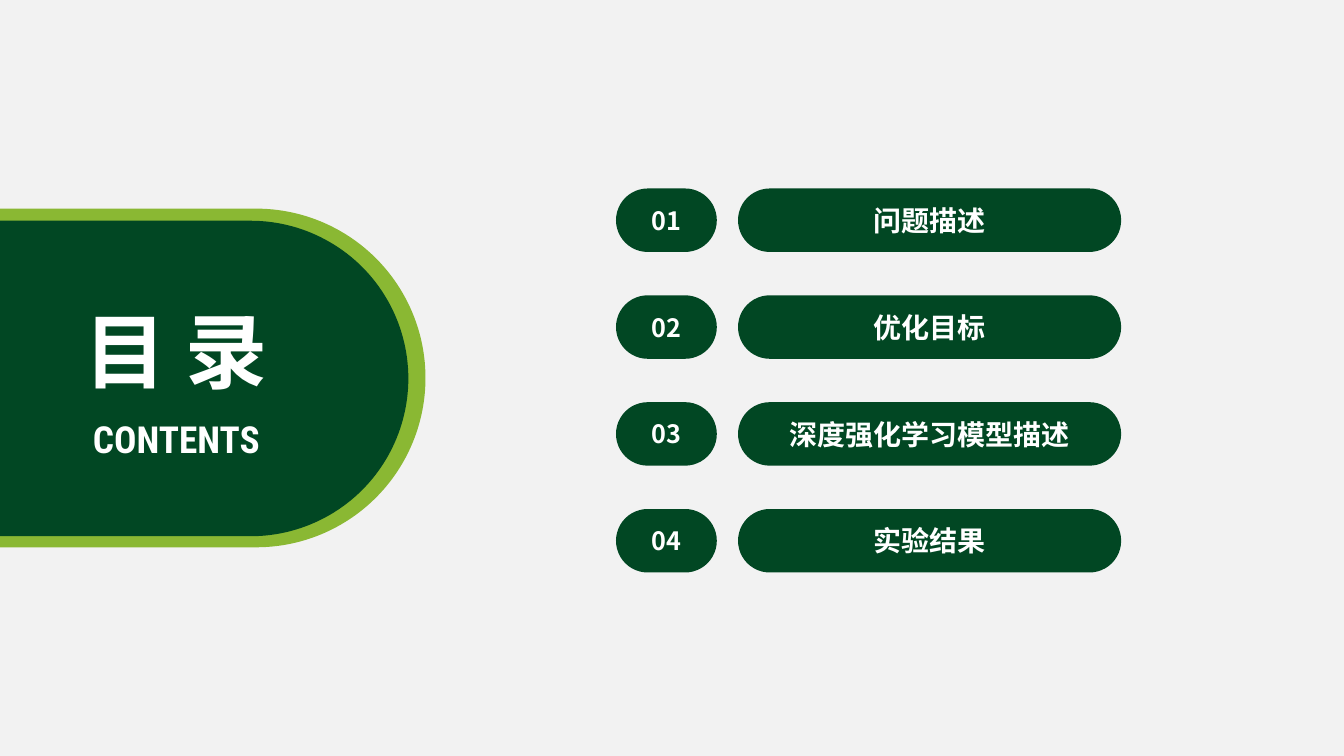
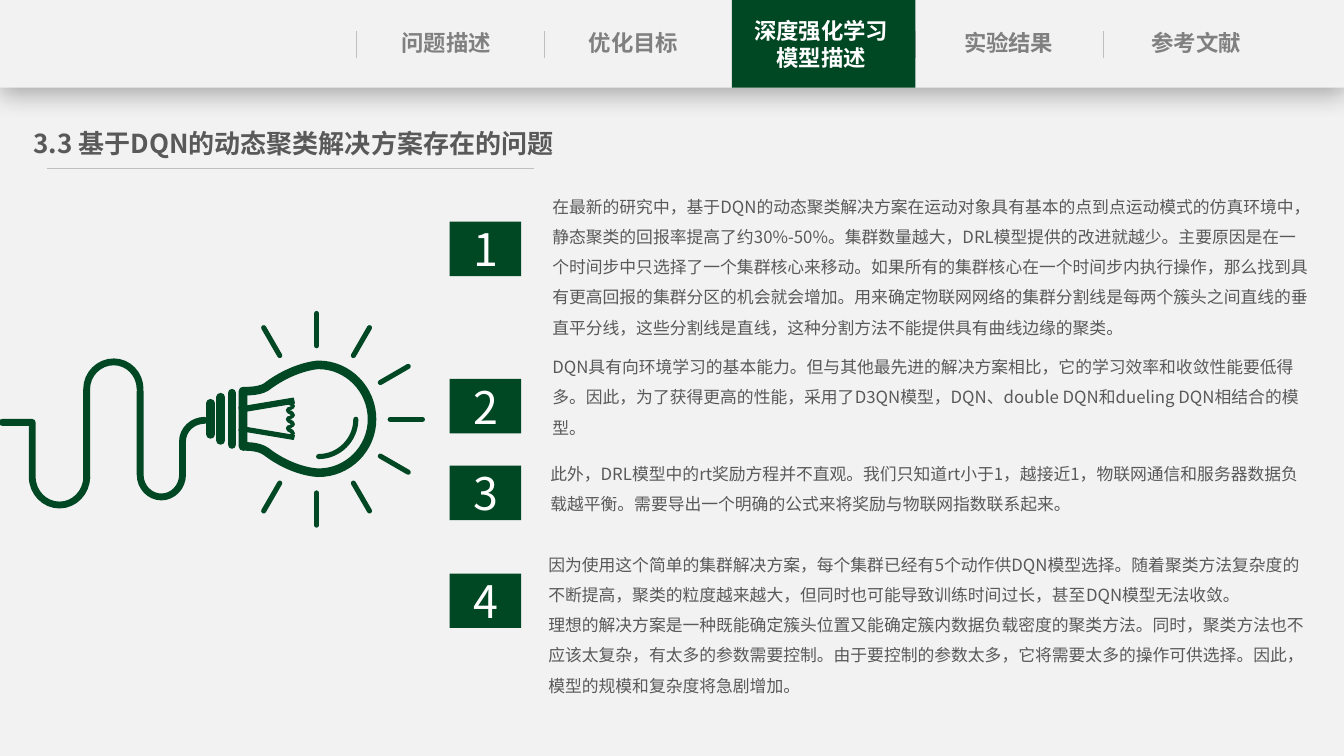
import math

import lxml.etree
import pptx
import pptx.dml.color
import pptx.enum.shapes
import pptx.enum.text
import pptx.oxml.ns
import pptx.util

Inches = pptx.util.Inches
Pt = pptx.util.Pt
RGBColor = pptx.dml.color.RGBColor
Shape = pptx.enum.shapes.MSO_SHAPE
Anchor = pptx.enum.text.MSO_ANCHOR
Align = pptx.enum.text.PP_ALIGN
qn = pptx.oxml.ns.qn

PAPER = RGBColor(0xF2, 0xF2, 0xF2)
WHITE = RGBColor(0xFF, 0xFF, 0xFF)
BLACK = RGBColor(0x00, 0x00, 0x00)
GREEN = RGBColor(0x01, 0x47, 0x23)
DEEP_GREEN = RGBColor(0x00, 0x47, 0x23)
LIME = RGBColor(0x8A, 0xB8, 0x33)
RULE_GREY = RGBColor(0xBF, 0xBF, 0xBF)
TAB_GREY = RGBColor(0x80, 0x80, 0x80)
TEXT_GREY = RGBColor(0x59, 0x59, 0x59)
SANS = "Noto Sans CJK SC"
CONDENSED = "Roboto Condensed"

CHAPTERS = ["问题描述", "优化目标", "深度强化学习模型描述", "实验结果"]
TABS = CHAPTERS + ["参考文献"]
ACTIVE_TAB = 2
TAB_DIVIDERS = (3.53, 5.4, 9.08, 10.94)

PROBLEM_TITLE = "3.3 基于DQN的动态聚类解决方案存在的问题"
PROBLEMS = [
    {"text_at": (5.38, 1.8, 7.7, 1.61), "badge_top": 2.2, "paragraphs": [
        "在最新的研究中，基于DQN的动态聚类解决方案在运动对象具有基本的点到点运动模式的仿真环境中，"
        "静态聚类的回报率提高了约30%-50%。集群数量越大，DRL模型提供的改进就越少。"
        "主要原因是在一个时间步中只选择了一个集群核心来移动。"
        "如果所有的集群核心在一个时间步内执行操作，那么找到具有更高回报的集群分区的机会就会增加。"
        "用来确定物联网网络的集群分割线是每两个簇头之间直线的垂直平分线，"
        "这些分割线是直线，这种分割方法不能提供具有曲线边缘的聚类。"]},
    {"text_at": (5.38, 3.39, 7.7, 1.01), "badge_top": 3.76, "paragraphs": [
        "DQN具有向环境学习的基本能力。但与其他最先进的解决方案相比，它的学习效率和收敛性能要低得多。"
        "因此，为了获得更高的性能，采用了D3QN模型，DQN、double DQN和dueling DQN相结合的模型。"]},
    {"text_at": (5.36, 4.45, 7.74, 0.71), "badge_top": 4.62, "paragraphs": [
        "此外，DRL模型中的rt奖励方程并不直观。我们只知道rt小于1，越接近1，"
        "物联网通信和服务器数据负载越平衡。需要导出一个明确的公式来将奖励与物联网指数联系起来。"]},
    {"text_at": (5.34, 5.35, 7.74, 1.61), "badge_top": 5.69, "paragraphs": [
        "因为使用这个简单的集群解决方案，每个集群已经有5个动作供DQN模型选择。"
        "随着聚类方法复杂度的不断提高，聚类的粒度越来越大，"
        "但同时也可能导致训练时间过长，甚至DQN模型无法收敛。",
        "理想的解决方案是一种既能确定簇头位置又能确定簇内数据负载密度的聚类方法。"
        "同时，聚类方法也不应该太复杂，有太多的参数需要控制。"
        "由于要控制的参数太多，它将需要太多的操作可供选择。因此，模型的规模和复杂度将急剧增加。"]},
]

CORDS = [
    [(1.81, 4.71), (1.81, 4.93, 1.6, 4.93), (1.39, 4.93, 1.39, 4.71), (1.39, 3.88)],
    [(0.86, 4.73), (0.86, 5.01, 0.59, 5.01), (0.32, 5.01, 0.32, 4.73),
     (0.32, 4.19), (0.02, 4.19)],
    [(0.86, 4.75), (0.86, 3.86), (0.86, 3.59, 1.13, 3.59), (1.39, 3.59, 1.39, 3.86)],
    [(1.81, 4.71), (1.81, 4.38), (1.81, 4.17, 2.03, 4.17)],
]
GLASS = [(3.16, 3.62), (3.69, 3.62, 3.69, 4.16), (3.69, 4.69, 3.16, 4.69),
         (3.14, 4.69, 2.9, 4.68, 2.64, 4.48), (2.56, 4.42, 2.41, 4.43, 2.41, 4.43),
         (2.41, 3.88), (2.41, 3.88, 2.56, 3.89, 2.64, 3.84),
         (2.9, 3.64, 3.14, 3.62, 3.16, 3.62)]
GLINT = [(3.16, 4.53), (3.53, 4.53, 3.53, 4.16)]
PRONGS = [[(2.37, 4.27), (2.38, 4.23), (2.92, 4.32), (2.91, 4.36)],
          [(2.37, 4.04), (2.91, 3.95), (2.92, 4), (2.38, 4.09)]]
THREADS = [(2.3, 3.9, 4.41), (2.19, 3.94, 4.37), (2.09, 4, 4.31)]
RAY_CENTER = (3.14, 4.16)
RAY_RADII = (0.73, 1.05)


def inches(values):
    return [Inches(value) for value in values]


def style_text(shape, paragraphs, size, color, bold=False, font=SANS,
               align=Align.CENTER, anchor=Anchor.MIDDLE, spacing=None, wrap=True, side=0.1):
    frame = shape.text_frame
    frame.text = "\n".join(paragraphs)
    frame.word_wrap = wrap
    frame.auto_size = pptx.enum.text.MSO_AUTO_SIZE.NONE
    frame.vertical_anchor = anchor
    frame.margin_left = frame.margin_right = Inches(side)
    for para in frame.paragraphs:
        para.alignment = align
        if spacing:
            para.line_spacing = spacing
        for span in para.runs:
            span.font.size = Pt(size)
            span.font.bold = bold
            span.font.color.rgb = color
            span.font.name = font
            properties = span._r.get_or_add_rPr()
            lxml.etree.SubElement(properties, qn("a:ea"), typeface=font)


def add_block(page, at, color, kind=Shape.RECTANGLE):
    block = page.shapes.add_shape(kind, *inches(at))
    block.shadow.inherit = False
    block.fill.solid()
    block.fill.fore_color.rgb = color
    block.line.fill.background()
    if kind == Shape.ROUNDED_RECTANGLE:
        block.adjustments[0] = 0.5
    return block


def add_text(page, at, paragraphs, size, color, **style):
    box = page.shapes.add_textbox(*inches(at))
    style_text(box, paragraphs, size, color, **style)


def place_title(page, at, text, size, color, **style):
    title = page.shapes.title
    title.left, title.top, title.width, title.height = inches(at)
    style_text(title, [text], size, color, bold=True, **style)
    page.shapes._spTree.append(title._element)


def style_line(shape, color, width, rounded):
    shape.line.color.rgb = color
    shape.line.width = Pt(width)
    if rounded:
        shape._element.spPr.get_or_add_ln().set("cap", "rnd")


def add_line(page, start, end, color, width, rounded=False):
    line = page.shapes.add_connector(pptx.enum.shapes.MSO_CONNECTOR.STRAIGHT,
                                     *inches((*start, *end)))
    style_line(line, color, width, rounded)
    lxml.etree.SubElement(line._element.spPr, qn("a:effectLst"))


def segment_points(start, step):
    if len(step) == 4:
        corner, end = step[:2], step[2:]
        handles = [tuple(p + 0.55 * (c - p) for p, c in zip(point, corner))
                   for point in (start, end)]
        return [*handles, end]
    return [step[index:index + 2] for index in range(0, len(step), 2)]


def add_outline(page, steps, width, closed=False, filled=False):
    segments = [segment_points(before[-2:], step) for before, step in zip(steps, steps[1:])]
    builder = page.shapes.build_freeform(*inches(steps[0]))
    builder.add_line_segments([inches(point) for segment in segments for point in segment],
                              close=closed)
    outline = builder.convert_to_shape()
    outline.shadow.inherit = False
    lines = iter(list(outline._element.iter(qn("a:lnTo"))))
    for segment in segments:
        parts = [next(lines) for point in segment]
        if len(parts) == 3:
            curve = lxml.etree.Element(qn("a:cubicBezTo"))
            parts[0].addprevious(curve)
            for part in parts:
                curve.append(part[0])
                part.getparent().remove(part)
    if filled:
        outline.fill.solid()
        outline.fill.fore_color.rgb = DEEP_GREEN
    else:
        outline.fill.background()
    style_line(outline, DEEP_GREEN, width, True)


def filament_steps(waves=4, pitch=0.09, top=3.98):
    bottom = top + waves * pitch
    steps = [(2.84, bottom)]
    for wave in range(waves):
        y = bottom - wave * pitch
        steps += [(2.84, y - 0.02, 2.86, y - 0.03, 2.88, y - 0.03),
                  (2.88, y - 0.04, 2.9, y - 0.04, 2.9, y - 0.04),
                  (2.9, y - 0.05, 2.88, y - 0.05, 2.88, y - 0.05),
                  (2.86, y - 0.06, 2.84, y - 0.07, 2.84, y - pitch)]
    steps.append((2.87, top))
    for wave in range(waves):
        y = top + wave * pitch
        steps += [(2.87, y + 0.01, 2.88, y + 0.01, 2.89, y + 0.01),
                  (2.9, y + 0.02, 2.92, y + 0.03, 2.92, y + 0.05),
                  (2.92, y + 0.07, 2.9, y + 0.07, 2.89, y + 0.08),
                  (2.88, y + 0.08, 2.87, y + pitch, 2.87, y + pitch)]
    return steps


def draw_bulb(page):
    for degrees in range(-120, 121, 30):
        angle = math.radians(degrees)
        start, end = [(RAY_CENTER[0] + radius * math.cos(angle),
                       RAY_CENTER[1] + radius * math.sin(angle)) for radius in RAY_RADII]
        add_line(page, start, end, DEEP_GREEN, 3.63, rounded=True)
    add_outline(page, GLINT, 3.63)
    for steps in PRONGS + [filament_steps()]:
        add_outline(page, steps, 0.75, closed=True, filled=True)
    add_outline(page, GLASS, 6.13, closed=True)
    for x, top, bottom in THREADS:
        add_line(page, (x, top), (x, bottom), DEEP_GREEN, 6.13, rounded=True)
    for steps in CORDS:
        add_outline(page, steps, 4.88)


def draw_header_band(page):
    band = add_block(page, (0, 0, 13.33, 0.87), PAPER)
    effects = band._element.spPr.find(qn("a:effectLst"))
    shadow = lxml.etree.SubElement(effects, qn("a:outerShdw"), blurRad=str(Pt(18)),
                                   dist=str(Pt(4)), dir="5400000", algn="t", rotWithShape="0")
    tint = lxml.etree.SubElement(shadow, qn("a:srgbClr"), val=str(BLACK))
    lxml.etree.SubElement(tint, qn("a:alpha"), val="29000")
    for x in TAB_DIVIDERS:
        add_line(page, (x, 0.31), (x, 0.58), RULE_GREY, 0.5)


def draw_tabs(page):
    add_block(page, (7.26, 0, 1.82, 0.87), DEEP_GREEN)
    for index, label in enumerate(TABS):
        active = index == ACTIVE_TAB
        top, height = (0.12, 0.64) if active else (0.24, 0.37)
        add_text(page, (3.69 + 1.86 * index, top, 1.47, height), [label], 16,
                 WHITE if active else TAB_GREY, bold=True, anchor=Anchor.TOP, side=0)


def build_contents(page):
    pill = Shape.ROUNDED_RECTANGLE
    add_block(page, (-1.96, 2.07, 6.18, 3.36), LIME, pill)
    add_block(page, (-1.7, 2.19, 5.75, 3.13), GREEN, pill)
    for left, width, size, labels in (
            (6.11, 1, 18, [f"{index + 1:02}" for index in range(len(CHAPTERS))]),
            (7.32, 3.8, 20, CHAPTERS)):
        for index, label in enumerate(labels):
            block = add_block(page, (left, 1.87 + 1.06 * index, width, 0.63), GREEN, pill)
            style_text(block, [label], size, WHITE, bold=True)
    add_text(page, (0.62, 4.08, 2.26, 0.55), ["CONTENTS"], 26.6, WHITE,
             bold=True, font=CONDENSED, anchor=Anchor.TOP, wrap=False)
    place_title(page, (0.7, 2.93, 2.09, 1.09), "目 录", 58.6, WHITE,
                anchor=Anchor.TOP, wrap=False)


def build_problems(page):
    draw_header_band(page)
    add_line(page, (0.47, 1.67), (5.3, 1.67), RULE_GREY, 0.5)
    place_title(page, (0.15, 1.21, 5.52, 0.42), PROBLEM_TITLE, 18.6, TEXT_GREY,
                anchor=Anchor.TOP, side=0)
    draw_bulb(page)
    for number, problem in enumerate(PROBLEMS, 1):
        add_text(page, problem["text_at"], problem["paragraphs"], 12, TEXT_GREY,
                 align=Align.LEFT, anchor=Anchor.TOP, spacing=1.5)
        badge = add_block(page, (4.46, problem["badge_top"], 0.71, 0.54), DEEP_GREEN)
        style_text(badge, [str(number)], 32, WHITE)
    draw_tabs(page)


def main():
    deck = pptx.Presentation()
    deck.slide_width, deck.slide_height = Inches(13.33), Inches(7.5)
    pages = [deck.slides.add_slide(deck.slide_layouts[5]) for number in range(2)]
    backdrop = add_block(pages[0], (0, 0, 13.33, 7.5), PAPER)
    deck.slide_master.shapes._spTree.insert(2, backdrop._element)
    for page, build in zip(pages, (build_contents, build_problems)):
        build(page)
    deck.save("out.pptx")


if __name__ == "__main__":
    main()
